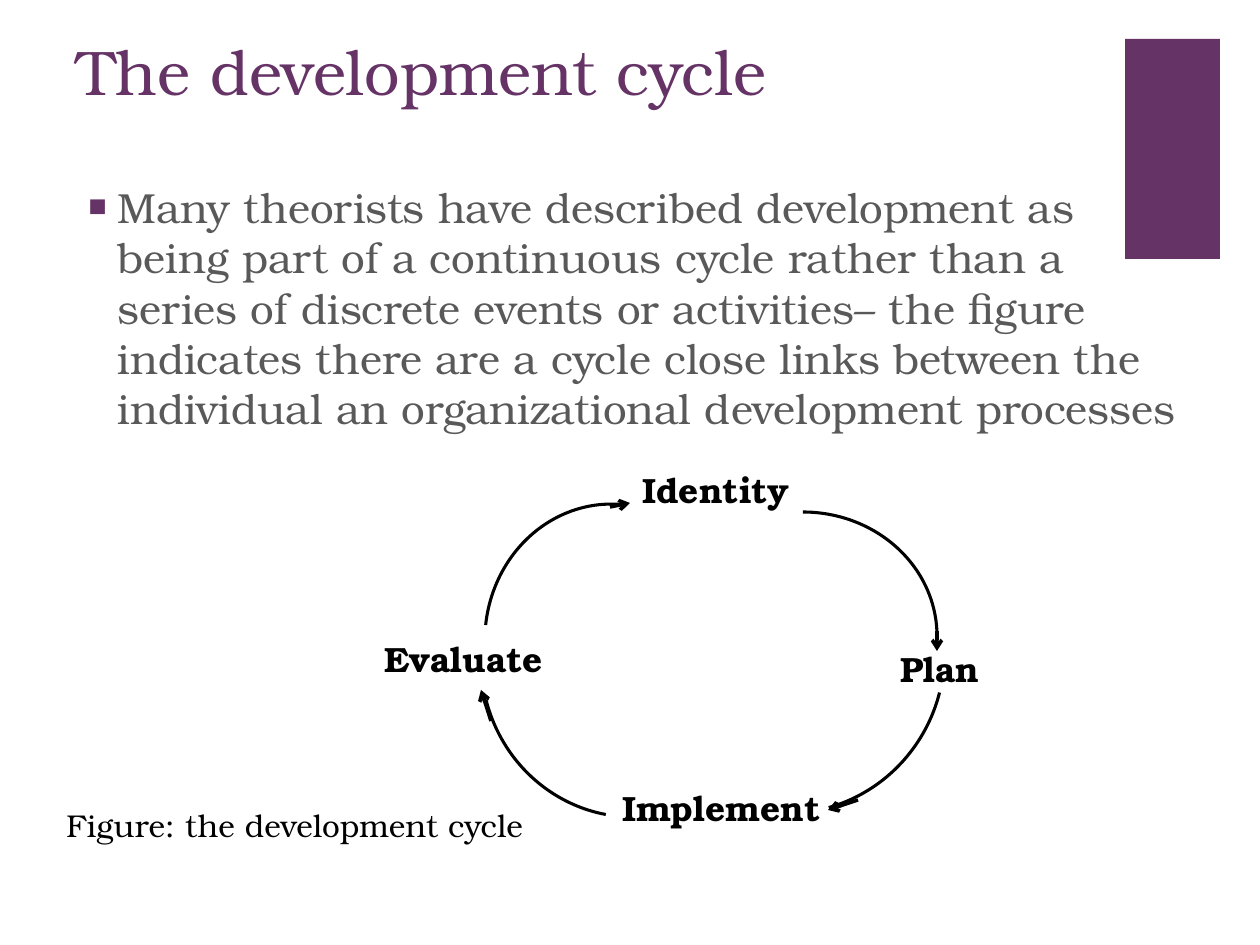
from lxml.etree import SubElement
from pptx import Presentation
from pptx.dml.color import RGBColor
from pptx.enum.shapes import MSO_CONNECTOR, MSO_SHAPE
from pptx.enum.text import MSO_ANCHOR, MSO_AUTO_SIZE, PP_ALIGN
from pptx.oxml.ns import qn
from pptx.util import Inches, Pt

PURPLE = RGBColor(0x66, 0x33, 0x66)
GREY = RGBColor(0x59, 0x59, 0x59)
BLACK = RGBColor(0, 0, 0)
SCALE = Inches(1) / 126
FONT = "TeX Gyre Bonum"


def emu(*lengths):
    return [round(length * SCALE) for length in lengths]


class CycleSlide:
    def __init__(self, deck):
        self.slide = deck.slides.add_slide(deck.slide_layouts[5])
        self.shapes = self.slide.shapes

    def fill_frame(self, frame, text, size, color, bold=False):
        frame.word_wrap = True
        frame.auto_size = MSO_AUTO_SIZE.NONE
        frame.vertical_anchor = MSO_ANCHOR.TOP
        paragraph = frame.paragraphs[0]
        paragraph.alignment = PP_ALIGN.LEFT
        run = paragraph.add_run()
        run.text = text
        run.font.name = FONT
        run.font.size = Pt(size)
        run.font.bold = bold
        run.font.color.rgb = color
        return paragraph

    def title(self, box, text):
        heading = self.shapes.title
        heading.left, heading.top, heading.width, heading.height = emu(*box)
        self.fill_frame(heading.text_frame, text, 36, PURPLE)

    def text(self, box, text, size, color=BLACK, bold=False):
        frame = self.shapes.add_textbox(*emu(*box)).text_frame
        return self.fill_frame(frame, text, size, color, bold)

    def bullet(self, box, text, size):
        paragraph = self.text(box, text, size, GREY)
        paragraph.space_before = Pt(20)
        properties = paragraph._p.get_or_add_pPr()
        indent = Inches(0.25)
        properties.set("marL", str(indent))
        properties.set("indent", str(-indent))
        bullet_color = SubElement(properties, qn("a:buClr"))
        SubElement(bullet_color, qn("a:srgbClr"), val=str(PURPLE))
        SubElement(properties, qn("a:buSzPct"), val="75000")
        SubElement(properties, qn("a:buFont"), typeface=FONT)
        SubElement(properties, qn("a:buChar"), char="■")

    def block(self, box):
        band = self.shapes.add_shape(MSO_SHAPE.RECTANGLE, *emu(*box))
        band.shadow.inherit = False
        band.fill.solid()
        band.fill.fore_color.rgb = PURPLE
        band.line.fill.background()

    def arc(self, box, rotation, start, end):
        curve = self.shapes.add_shape(MSO_SHAPE.ARC, *emu(*box))
        curve.shadow.inherit = False
        curve.fill.background()
        curve.line.color.rgb = BLACK
        curve.line.width = Pt(1.75)
        curve.rotation = rotation
        for index, degrees in enumerate((start, end)):
            curve.adjustments[index] = degrees * 0.6

    def arrow(self, ends):
        tip = self.shapes.add_connector(MSO_CONNECTOR.STRAIGHT, *emu(*ends))
        tip.line.color.rgb = BLACK
        tip.line.width = Pt(2)
        outline = tip._element.spPr.find(qn("a:ln"))
        SubElement(outline, qn("a:tailEnd"), type="arrow")
        SubElement(tip._element.spPr, qn("a:effectLst"))


def main():
    deck = Presentation()
    deck.slide_width, deck.slide_height = Inches(10), Inches(7.5)
    page = CycleSlide(deck)
    page.block((1125, 39, 95, 220))
    page.title((64, 26, 1134, 140), "The development cycle")
    page.bullet(
        (74, 175, 1134, 331),
        "Many theorists have described development as being part of a "
        "continuous cycle rather than a series of discrete events or "
        "activities– the figure indicates there are a cycle close links "
        "between the individual an organizational development processes",
        24,
    )

    arcs = [
        ((669, 512, 268, 248), 0, 270, 0),
        ((475, 514, 268, 248), 276, 270, 0),
        ((627, 496, 321, 314), 97.9, 276.7, 337.2),
        ((481, 503, 304, 314), 180, 280, 344.9),
    ]
    for box, rotation, start, end in arcs:
        page.arc(box, rotation, start, end)

    stages = [
        ("Identity", 630, 462, 189),
        ("Plan", 888, 641, 129),
        ("Evaluate", 372, 631, 198),
        ("Implement", 610, 780, 258),
    ]
    for stage, left, top, width in stages:
        page.text((left, top, width, 55), stage, 20, bold=True)

    arrows = [
        (937, 631, 937, 651),
        (858, 800, 828, 810),
        (491, 721, 481, 690),
        (610, 507, 630, 503),
    ]
    for ends in arrows:
        page.arrow(ends)

    page.text((54, 800, 496, 50), "Figure: the development cycle", 18)
    deck.save("out.pptx")


if __name__ == "__main__":
    main()
